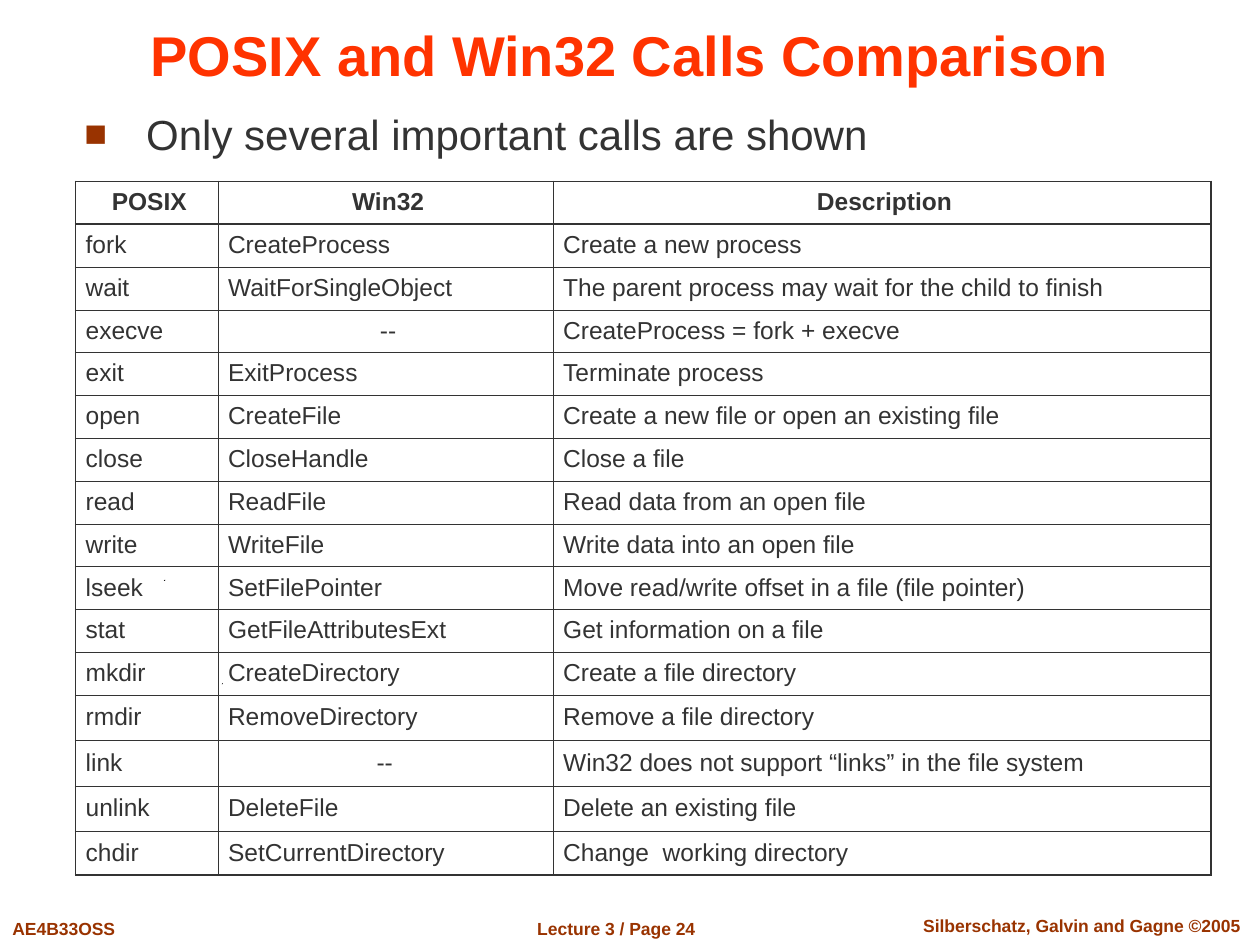
from lxml import etree
from pptx import Presentation
from pptx.dml.color import RGBColor
from pptx.enum.text import MSO_ANCHOR, MSO_AUTO_SIZE, PP_ALIGN
from pptx.oxml.ns import qn
from pptx.util import Inches, Pt

LEFT, CENTER = PP_ALIGN.LEFT, PP_ALIGN.CENTER
MIDDLE, BOTTOM = MSO_ANCHOR.MIDDLE, MSO_ANCHOR.BOTTOM
NO_FIT = MSO_AUTO_SIZE.NONE

FONT = "Arial"
COLORS = {"title": "FF3300", "text": "333333", "accent": "993300", "speck": "000000"}

# Content
TITLE = "POSIX and Win32 Calls Comparison"
BULLET = "Only several important calls are shown"
HEADER = ("POSIX", "Win32", "Description")
CALLS = [
    ("fork", "CreateProcess", "Create a new process"),
    ("wait", "WaitForSingleObject", "The parent process may wait for the child to finish"),
    ("execve", "--", "CreateProcess = fork + execve"),
    ("exit", "ExitProcess", "Terminate process"),
    ("open", "CreateFile", "Create a new file or open an existing file"),
    ("close", "CloseHandle", "Close a file"),
    ("read", "ReadFile", "Read data from an open file"),
    ("write", "WriteFile", "Write data into an open file"),
    ("lseek", "SetFilePointer", "Move read/write offset in a file (file pointer)"),
    ("stat", "GetFileAttributesExt", "Get information on a file"),
    ("mkdir", "CreateDirectory", "Create a file directory"),
    ("rmdir", "RemoveDirectory", "Remove a file directory"),
    ("link", "-- ", "Win32 does not support “links” in the file system"),
    ("unlink", "DeleteFile", "Delete an existing file"),
    ("chdir", "SetCurrentDirectory", "Change  working directory"),
]
# Footer: text, left, top, width, alignment
FOOTERS = [
    ("AE4B33OSS", 0, 7.24, 1.2, LEFT),
    ("Lecture 3 / Page 24 ", 3.91, 7.24, 2, CENTER),
    ("Silberschatz, Galvin and Gagne ©2005", 7.1, 7.21, 2.97, CENTER),
]
# Tiny background specks: left, top
SPECKS = [(1.76, 5.42), (1.3, 4.6), (5.65, 4.6), (1.29, 0.97)]
SPECK_SIZE = 0.01
COLUMN_WIDTHS = (1.13, 2.66, 5.22)
ROW_HEIGHTS = [0.34] * 12 + [0.36] * 3 + [0.35]
THIN, THICK, BASE = 0.45, 1.08, 1.47


def place(shape, left, top, width, height):
    shape.left, shape.top = Inches(left), Inches(top)
    shape.width, shape.height = Inches(width), Inches(height)


def format_text(paragraph, size, color, bold=False, alignment=LEFT):
    paragraph.alignment = alignment
    for run in paragraph.runs:
        run.font.name = FONT
        run.font.size = Pt(size)
        run.font.bold = bold
        run.font.color.rgb = RGBColor.from_string(COLORS[color])


def set_bullet(paragraph, character, color, percent, indent):
    properties = paragraph._p.get_or_add_pPr()
    properties.set("marL", str(Inches(indent)))
    properties.set("indent", str(Inches(-indent)))
    bullet_color = etree.SubElement(properties, qn("a:buClr"))
    etree.SubElement(bullet_color, qn("a:srgbClr"), val=COLORS[color])
    etree.SubElement(properties, qn("a:buSzPct"), val=str(percent * 1000))
    etree.SubElement(properties, qn("a:buFont"), typeface=FONT)
    etree.SubElement(properties, qn("a:buChar"), char=character)


def set_borders(cell, **widths):
    properties = cell._tc.get_or_add_tcPr()
    for side, width in widths.items():
        line = etree.SubElement(properties, qn(f"a:ln{side}"), w=str(Pt(width)))
        fill = etree.SubElement(line, qn("a:solidFill"))
        etree.SubElement(fill, qn("a:srgbClr"), val=COLORS["text"])


def add_speck(slide, left, top):
    right, bottom = left + SPECK_SIZE, top + SPECK_SIZE
    builder = slide.shapes.build_freeform(Inches(left), Inches(bottom))
    builder.add_line_segments([(Inches(right), Inches(top)), (Inches(right), Inches(bottom))])
    speck = builder.convert_to_shape()
    speck.shadow.inherit = False
    speck.fill.solid()
    speck.fill.fore_color.rgb = RGBColor.from_string(COLORS["speck"])
    speck.line.fill.background()


def add_footer(slide, text, left, top, width, alignment):
    box = slide.shapes.add_textbox(Inches(left), Inches(top), Inches(width), Inches(0.27))
    frame = box.text_frame
    frame.text = text
    frame.word_wrap = True
    frame.paragraphs[0].space_before = Pt(6.2)
    format_text(frame.paragraphs[0], 10, "accent", True, alignment)


def add_calls_table(slide):
    rows = [HEADER] + CALLS
    last_row, last_column = len(rows) - 1, len(HEADER) - 1
    table = slide.shapes.add_table(
        len(rows), len(HEADER), Inches(0.6), Inches(1.44),
        Inches(sum(COLUMN_WIDTHS)), Inches(sum(ROW_HEIGHTS))).table
    table.horz_banding = False
    for column, width in zip(table.columns, COLUMN_WIDTHS):
        column.width = Inches(width)
    for row, height in zip(table.rows, ROW_HEIGHTS):
        row.height = Inches(height)

    for r, texts in enumerate(rows):
        for c, text in enumerate(texts):
            cell = table.cell(r, c)
            cell.text = text
            cell.vertical_anchor = MIDDLE
            cell.margin_left, cell.margin_right = Inches(0.08), Inches(0.04)
            paragraph = cell.text_frame.paragraphs[0]
            paragraph.line_spacing = 0.95
            is_header = r == 0
            centered = is_header or text.strip() == "--"
            format_text(paragraph, 14, "text", is_header, CENTER if centered else LEFT)
            set_borders(
                cell,
                L=THICK if c == 0 else THIN,
                R=THICK if c == last_column else THIN,
                T=THICK if r <= 1 else THIN,
                B=THICK if is_header else BASE if r == last_row else THIN)
            cell.fill.background()


def main():
    presentation = Presentation()
    presentation.slide_width, presentation.slide_height = Inches(10), Inches(7.5)
    slide = presentation.slides.add_slide(presentation.slide_layouts[1])

    # Title
    title = slide.shapes.title
    place(title, 0, 0, 10, 0.75)
    title.text_frame.text = TITLE
    title.text_frame.vertical_anchor = BOTTOM
    title.text_frame.auto_size = NO_FIT
    format_text(title.text_frame.paragraphs[0], 32, "title", True, CENTER)

    # Bullet line
    body = slide.placeholders[1]
    place(body, 0.65, 0.89, 6.6, 0.42)
    frame = body.text_frame
    frame.text = BULLET
    frame.margin_left = Inches(0.02)
    frame.auto_size = NO_FIT
    paragraph = frame.paragraphs[0]
    paragraph.line_spacing = 0.8
    paragraph.space_before = Pt(6)
    format_text(paragraph, 24, "text")
    set_bullet(paragraph, "■", "accent", 90, 0.49)

    # Specks, footers and table
    for left, top in SPECKS:
        add_speck(slide, left, top)
    for footer in FOOTERS:
        add_footer(slide, *footer)
    add_calls_table(slide)

    presentation.save("out.pptx")


if __name__ == "__main__":
    main()
